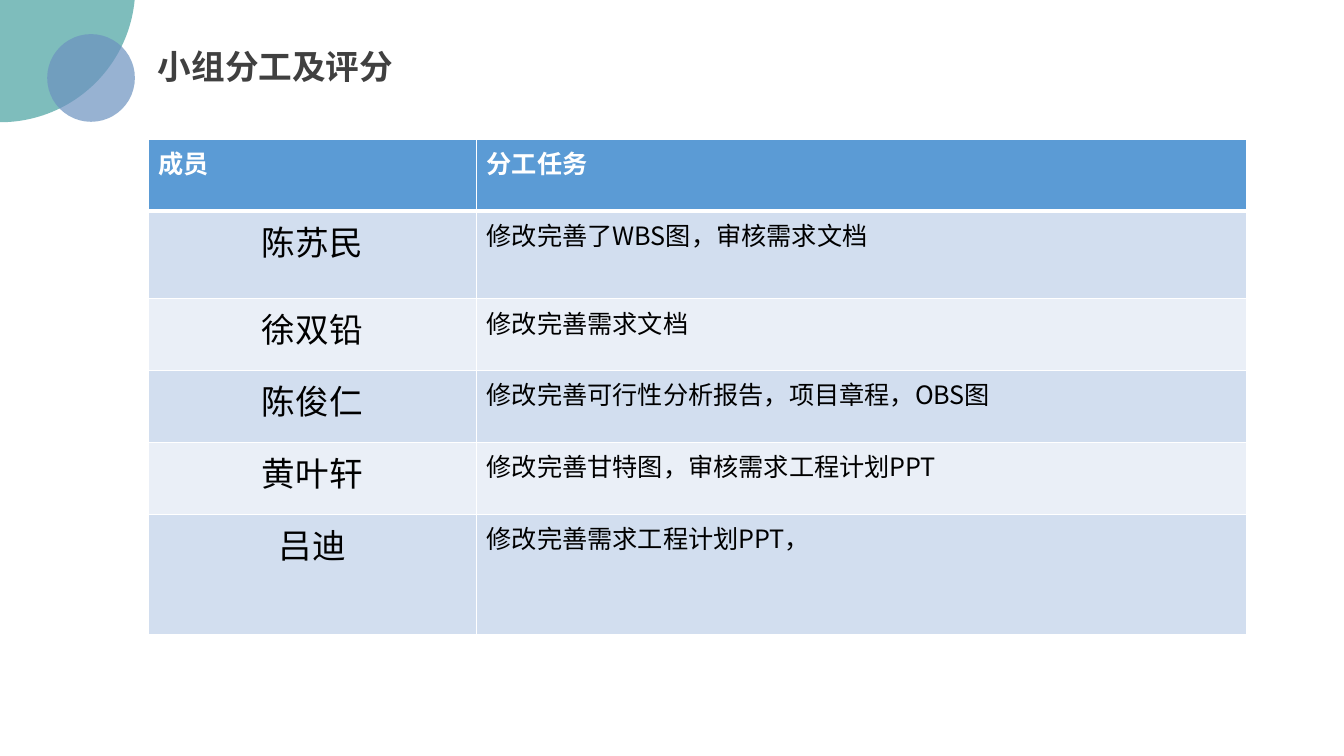
from dataclasses import dataclass

from lxml import etree
from pptx import Presentation
from pptx import util as u
from pptx.dml.color import RGBColor
from pptx.enum import shapes, text
from pptx.oxml import ns

FONT = "Noto Sans CJK SC"
HEADER_FILL = "5B9BD5"
BAND_FILLS = ("D2DEEF", "EAEFF7")
WHITE = "FFFFFF"


@dataclass
class Circle:
    left: float
    top: float
    diameter: float
    color: str


@dataclass
class Member:
    name: str
    task: str
    height: float = 1.81


CIRCLES = [
    Circle(-3.4, -3.73, 6.81, "48A2A0"),
    Circle(1.19, 0.86, 2.21, "6C92C0"),
]
HEADER = Member("成员", "分工任务")
MEMBERS = [
    Member("陈苏民", "修改完善了WBS图，审核需求文档", 2.21),
    Member("徐双铅", "修改完善需求文档"),
    Member("陈俊仁", "修改完善可行性分析报告，项目章程，OBS图"),
    Member("黄叶轩", "修改完善甘特图，审核需求工程计划PPT"),
    Member("吕迪", "修改完善需求工程计划PPT，", 3.02),
]
COLUMN_WIDTHS = (8.28, 19.4)


def rgb(color: str) -> RGBColor:
    return RGBColor.from_string(color)


def write_text(frame, content: str, *, size: float, color: str = "000000",
               bold: bool = False, align=text.PP_ALIGN.LEFT) -> None:
    paragraph = frame.paragraphs[0]
    paragraph.alignment = align
    run = paragraph.add_run()
    run.text = content
    font = run.font
    font.size = u.Pt(size)
    font.bold = bold
    font.color.rgb = rgb(color)
    font.name = FONT
    properties = run._r.get_or_add_rPr()
    etree.SubElement(properties, ns.qn("a:ea"), typeface=FONT)


def add_circle(slide, circle: Circle) -> None:
    """Draw a borderless circle with 70 % opacity."""
    shape = slide.shapes.add_shape(
        shapes.MSO_SHAPE.OVAL, u.Cm(circle.left), u.Cm(circle.top),
        u.Cm(circle.diameter), u.Cm(circle.diameter))
    shape.shadow.inherit = False
    shape.line.fill.background()
    shape.fill.solid()
    shape.fill.fore_color.rgb = rgb(circle.color)
    color = shape._element.spPr.find(".//" + ns.qn("a:srgbClr"))
    etree.SubElement(color, ns.qn("a:alpha"), val="70000")


def add_title(slide, content: str) -> None:
    box = slide.shapes.add_textbox(u.Cm(3.73), u.Cm(1.02), u.Cm(6.5), u.Cm(1.27))
    box.text_frame.word_wrap = False
    box.text_frame.auto_size = text.MSO_AUTO_SIZE.SHAPE_TO_FIT_TEXT
    write_text(box.text_frame, content, size=24, color="404040", bold=True)


def set_borders(cell, **widths: float) -> None:
    """Give the cell white borders; widths in points by side: L, R, T, B."""
    properties = cell._tc.get_or_add_tcPr()
    for index, (side, width) in enumerate(widths.items()):
        line = etree.Element(ns.qn(f"a:ln{side}"), w=str(u.Pt(width)))
        fill = etree.SubElement(line, ns.qn("a:solidFill"))
        etree.SubElement(fill, ns.qn("a:srgbClr"), val=WHITE)
        properties.insert(index, line)


def add_task_table(slide) -> None:
    rows = [HEADER, *MEMBERS]
    table = slide.shapes.add_table(
        len(rows), len(COLUMN_WIDTHS), u.Cm(3.73), u.Cm(3.51),
        u.Cm(sum(COLUMN_WIDTHS)), u.Cm(sum(row.height for row in rows))).table
    for column, width in zip(table.columns, COLUMN_WIDTHS):
        column.width = u.Cm(width)
    for index, member in enumerate(rows):
        is_header = index == 0
        table.rows[index].height = u.Cm(member.height)
        name_cell, task_cell = table.rows[index].cells
        for cell in (name_cell, task_cell):
            cell.fill.solid()
            cell.fill.fore_color.rgb = rgb(
                HEADER_FILL if is_header else BAND_FILLS[(index - 1) % 2])
            set_borders(cell, L=1, R=1, T=3 if index == 1 else 1,
                        B=3 if is_header else 1)
        if is_header:
            for cell, label in ((name_cell, member.name), (task_cell, member.task)):
                write_text(cell.text_frame, label, size=18, color=WHITE, bold=True)
        else:
            write_text(name_cell.text_frame, member.name, size=24,
                       align=text.PP_ALIGN.CENTER)
            write_text(task_cell.text_frame, member.task, size=18)


def main() -> None:
    presentation = Presentation()
    presentation.slide_width = u.Cm(33.87)
    presentation.slide_height = u.Cm(19.05)
    slide = presentation.slides.add_slide(presentation.slide_layouts[6])
    for circle in CIRCLES:
        add_circle(slide, circle)
    add_title(slide, "小组分工及评分")
    add_task_table(slide)
    presentation.save("out.pptx")


if __name__ == "__main__":
    main()
